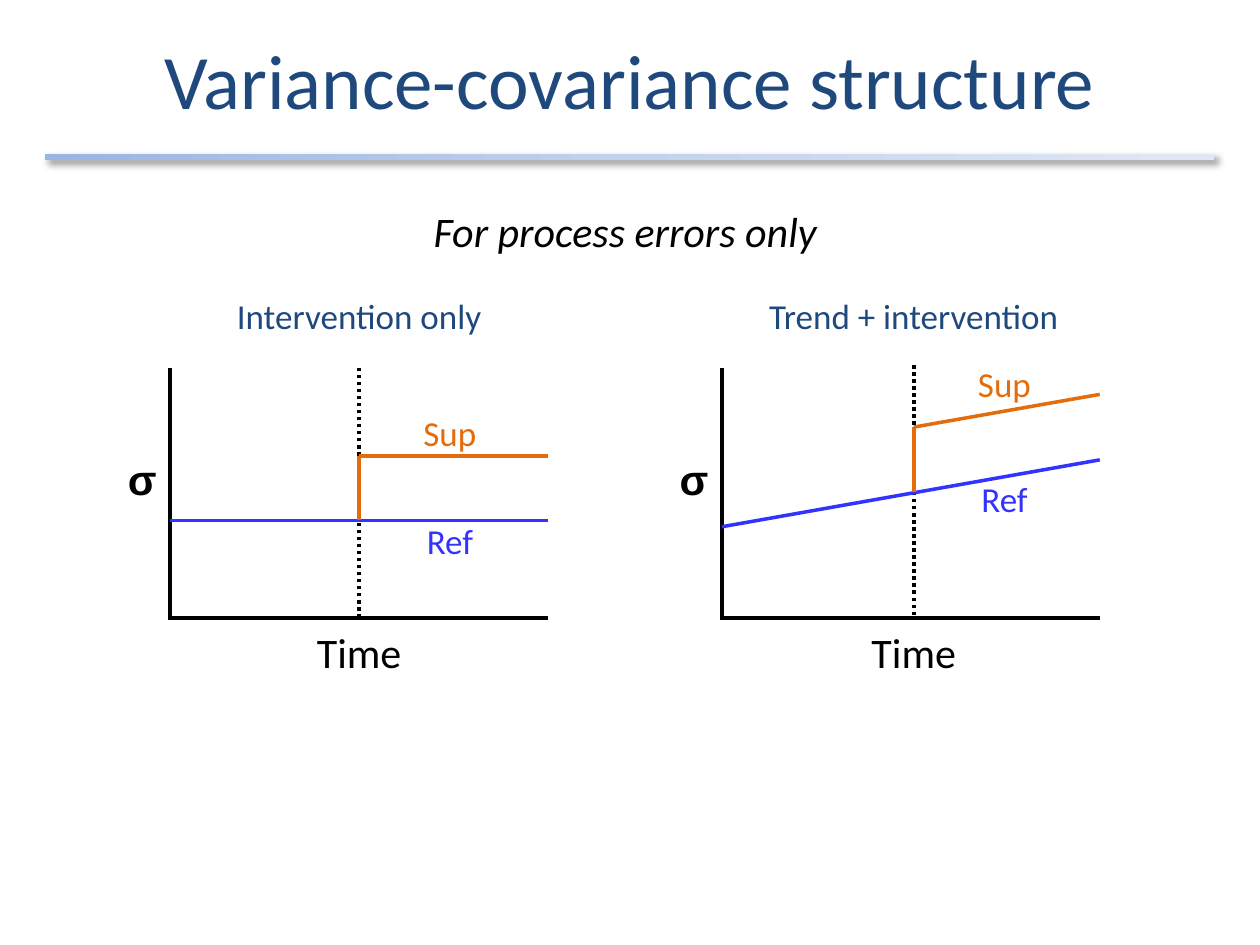
from copy import deepcopy
from dataclasses import dataclass

from lxml import etree
from pptx import Presentation
from pptx.dml.color import RGBColor
from pptx.enum.dml import MSO_LINE_DASH_STYLE as Dash
from pptx.enum.shapes import MSO_CONNECTOR as Connector, MSO_SHAPE as Preset
from pptx.enum.text import MSO_ANCHOR as Anchor, MSO_AUTO_SIZE as AutoSize, PP_ALIGN as Align
from pptx.oxml import parse_xml
from pptx.oxml.ns import qn
from pptx.util import Cm, Pt

COLORS = {
    "heading": "1F497D",
    "text": "000000",
    "reference": "3333FF",
    "supplemented": "E46C0A",
    "bar_start": "9AB5E4",
    "bar_middle": "C2D1ED",
    "bar_end": "E1E8F5",
}
SHADOW = """<a:effectLst xmlns:a="http://schemas.openxmlformats.org/drawingml/2006/main">
  <a:outerShdw blurRad="50800" dist="38100" dir="2700000" algn="tl" rotWithShape="0">
    <a:srgbClr val="000000"><a:alpha val="40000"/></a:srgbClr>
  </a:outerShdw>
</a:effectLst>"""
AXIS_LENGTH = 7.62
AXIS_TOP, AXIS_BASE = 7.42, 12.45
LABEL_OFFSET = 1.83


def color(name):
    return RGBColor.from_string(COLORS[name])


@dataclass
class Panel:
    """One sketch; ref and sup hold the line heights, in cm, from left to right."""
    heading: str
    heading_width: float
    left: float
    middle: float
    dotted_top: float
    ref: tuple
    sup: tuple
    ref_label_top: float
    sup_label_top: float


PANELS = [
    Panel("Intervention only", 5.49, 3.43, 7.24, 7.37,
          (10.49, 10.49, 10.49), (9.19, 9.19), 10.34, 8.18),
    Panel("Trend + intervention", 6.58, 14.55, 18.42, 7.32,
          (10.62, 9.91, 9.27), (8.61, 7.95), 9.5, 7.19),
]


class SlideBuilder:
    font = "Calibri"

    def __init__(self, presentation):
        self.slide = presentation.slides.add_slide(presentation.slide_layouts[5])
        self.shapes = self.slide.shapes

    def run(self, paragraph, text, size, color_name, font=None, bold=False, italic=False):
        run = paragraph.add_run()
        run.text = text
        run.font.name = font or self.font
        run.font.size = Pt(size)
        run.font.bold = bold
        run.font.italic = italic
        run.font.color.rgb = color(color_name)

    def title(self, text):
        title = self.slide.shapes.title
        title.left, title.top, title.width, title.height = Cm(0), Cm(0), Cm(25.4), Cm(3.18)
        title.text_frame.vertical_anchor = Anchor.MIDDLE
        paragraph = title.text_frame.paragraphs[0]
        paragraph.alignment = Align.CENTER
        self.run(paragraph, text, 44, "heading")

    def gradient_bar(self, left, top, width, height):
        bar = self.slide.shapes.add_shape(Preset.RECTANGLE, Cm(left), Cm(top), Cm(width), Cm(height))
        bar.line.fill.background()
        bar.fill.gradient()
        bar.fill.gradient_angle = 0
        stop_list = bar._element.spPr.find(".//" + qn("a:gsLst"))
        stop_list.insert(1, deepcopy(stop_list[0]))
        names = ("bar_start", "bar_middle", "bar_end")
        for stop, name, position in zip(bar.fill.gradient_stops, names, (0, 0.5, 1)):
            stop.color.rgb = color(name)
            stop.position = position
        bar._element.spPr.append(parse_xml(SHADOW))

    def label(self, text, center, top, width, size, color_name, **style):
        """Add a one-line text box centred on a horizontal position."""
        height = 1.27 if size == 24 else 1.12
        box = self.shapes.add_textbox(Cm(center - width / 2), Cm(top), Cm(width), Cm(height))
        frame = box.text_frame
        frame.word_wrap = False
        frame.auto_size = AutoSize.SHAPE_TO_FIT_TEXT
        paragraph = frame.paragraphs[0]
        paragraph.alignment = Align.CENTER
        self.run(paragraph, text, size, color_name, **style)

    def line(self, start, end, color_name, width=2, dash=None):
        ends = [Cm(value) for value in (*start, *end)]
        connector = self.shapes.add_connector(Connector.STRAIGHT, *ends)
        connector.line.color.rgb = color(color_name)
        connector.line.width = Pt(width)
        if dash:
            connector.line.dash_style = dash
        etree.SubElement(connector._element.spPr, qn("a:effectLst"))

    def panel(self, panel):
        self.shapes = self.slide.shapes.add_group_shape().shapes
        left, middle, right = panel.left, panel.middle, panel.left + AXIS_LENGTH
        ref_left, ref_middle, ref_right = panel.ref
        sup_middle, sup_right = panel.sup
        label_center = middle + LABEL_OFFSET

        self.label(panel.heading, middle, 5.82, panel.heading_width, 20, "heading")
        self.line((middle, panel.dotted_top + 5.08), (middle, panel.dotted_top), "text",
                  dash=Dash.ROUND_DOT)
        self.line((left, AXIS_TOP), (left, AXIS_BASE + 0.05), "text", 2.25)
        self.line((left, AXIS_BASE), (right, AXIS_BASE), "text", 2.25)
        self.line((left, ref_left), (right, ref_right), "reference")
        self.line((middle, sup_middle), (right, sup_right), "supplemented")
        self.label("σ", left - 0.58, 9.02, 1.04, 24, "text", font="Arial", bold=True)
        self.label("Time", middle, 12.5, 2.49, 24, "text")
        self.label("Sup", label_center, panel.sup_label_top, 1.6, 20, "supplemented")
        self.label("Ref", label_center, panel.ref_label_top, 1.45, 20, "reference")
        self.line((middle, ref_middle), (middle, sup_middle), "supplemented")
        self.shapes = self.slide.shapes


def main():
    presentation = Presentation()
    presentation.slide_width, presentation.slide_height = Cm(25.4), Cm(19.05)
    builder = SlideBuilder(presentation)
    builder.title("Variance-covariance structure")
    builder.label("For process errors only ", 12.7, 4.01, 8.53, 24, "text", italic=True)
    builder.gradient_bar(0.91, 3.1, 23.57, 0.13)
    for panel in PANELS:
        builder.panel(panel)
    presentation.save("out.pptx")


if __name__ == "__main__":
    main()
